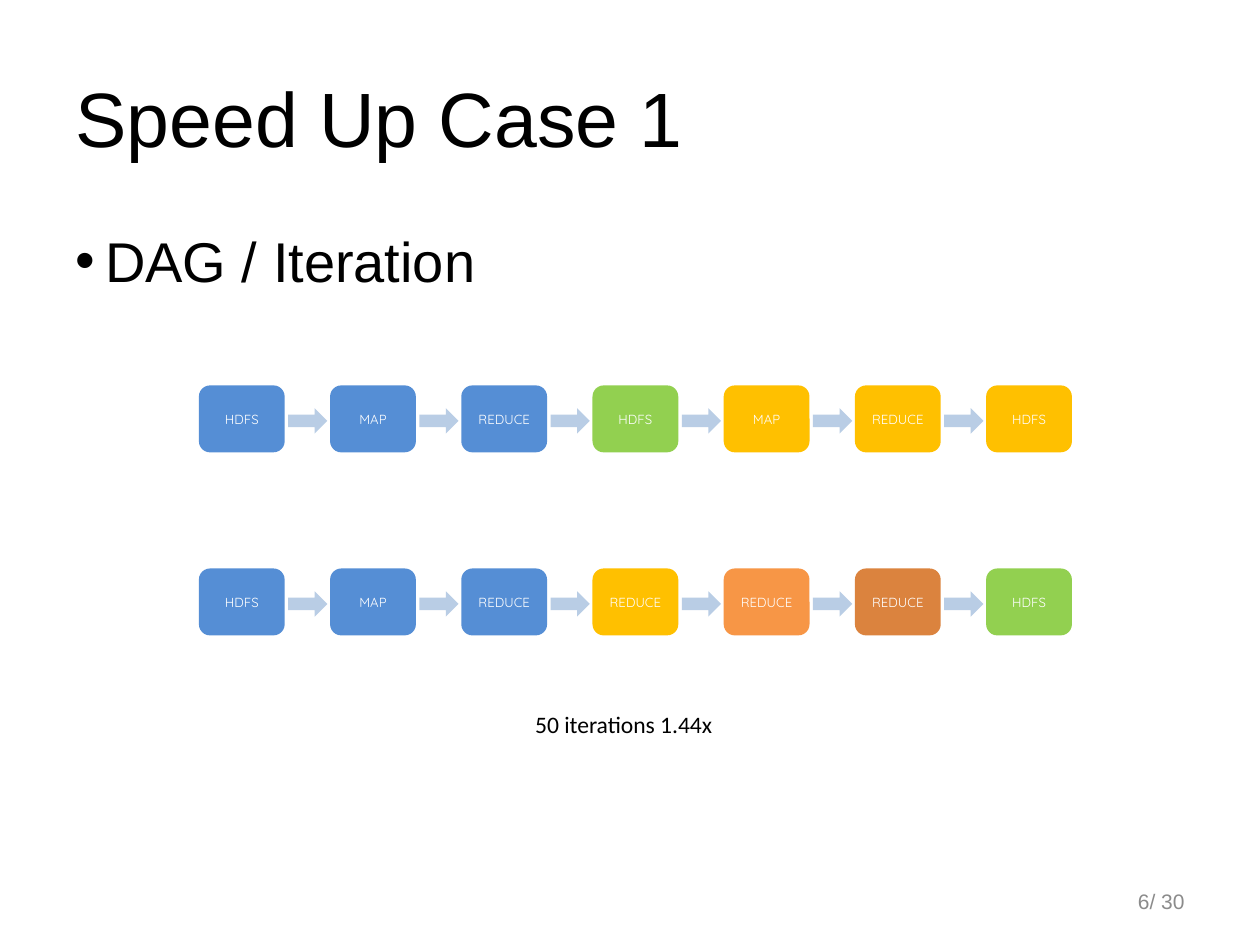
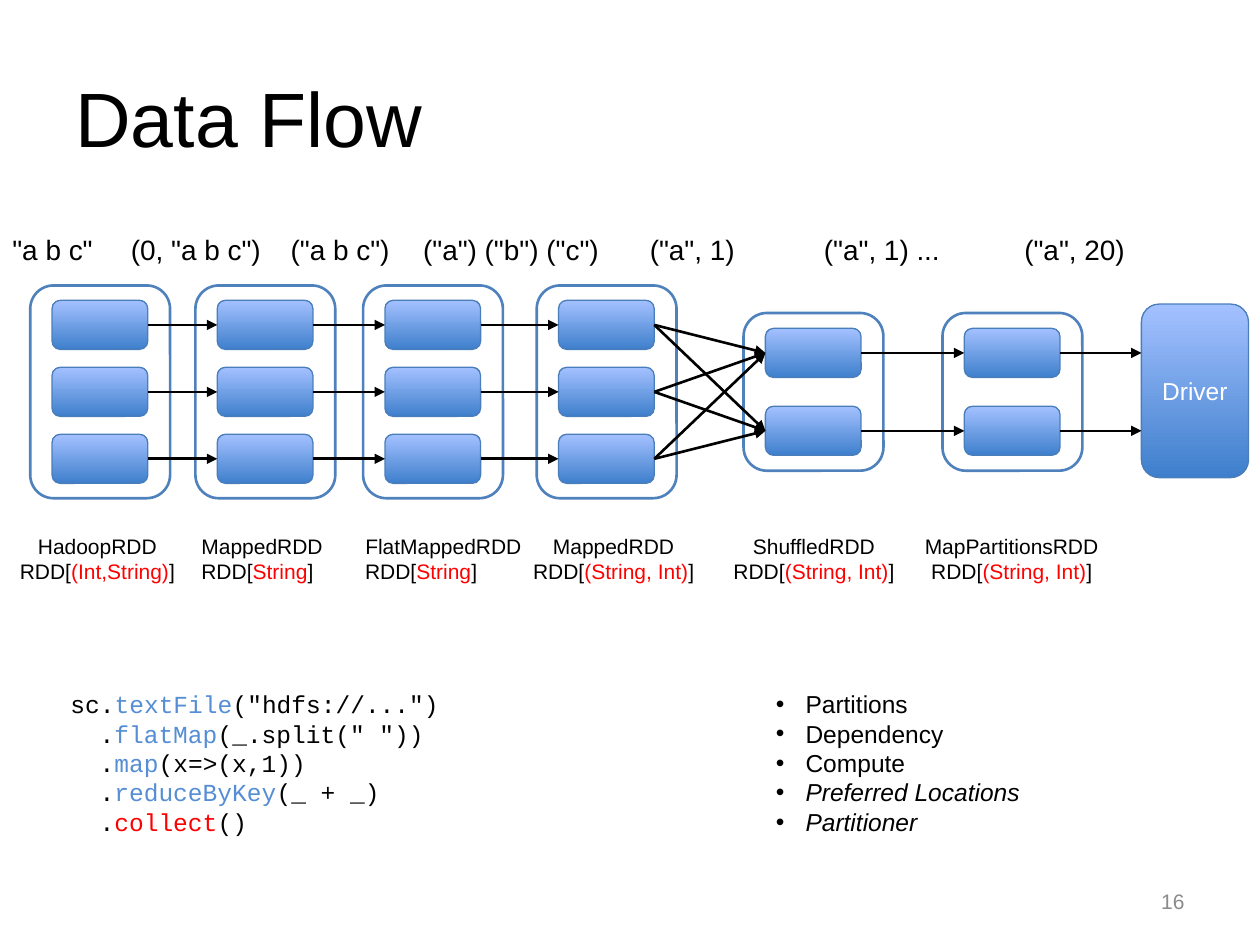
from itertools import product

from lxml import etree
from pptx import Presentation
from pptx.dml.color import RGBColor
from pptx.enum.shapes import MSO_CONNECTOR, MSO_SHAPE
from pptx.enum.text import MSO_ANCHOR, PP_ALIGN
from pptx.oxml.ns import qn
from pptx.util import Cm, Pt

ROUND, ARROW = MSO_SHAPE.ROUNDED_RECTANGLE, MSO_SHAPE.RIGHT_ARROW
STRAIGHT = MSO_CONNECTOR.STRAIGHT
LEFT, MID, RIGHT = PP_ALIGN.LEFT, PP_ALIGN.CENTER, PP_ALIGN.RIGHT
TOP, CENTER = MSO_ANCHOR.TOP, MSO_ANCHOR.MIDDLE

BLACK = RGBColor(0x00, 0x00, 0x00)
WHITE = RGBColor(0xFF, 0xFF, 0xFF)
GRAY = RGBColor(0x8B, 0x8B, 0x8B)
RED = RGBColor(0xFF, 0x00, 0x00)
BLUE = RGBColor(0x55, 0x8E, 0xD5)
PALE = RGBColor(0xB9, 0xCD, 0xE5)
GREEN = RGBColor(0x92, 0xD0, 0x50)
GOLD = RGBColor(0xFF, 0xC0, 0x00)
ORANGE = RGBColor(0xF7, 0x96, 0x46)
RUST = RGBColor(0xDB, 0x83, 0x3E)
FRAME = RGBColor(0x4F, 0x81, 0xBD)
EDGE = RGBColor(0x4A, 0x7E, 0xBB)
DEEP = RGBColor(0x3E, 0x7F, 0xCC)
LIGHT = RGBColor(0xA4, 0xC1, 0xFF)

# Slide 1 content: top of each chain, then its steps
CHAINS = [
    (7.77, [("HDFS", BLUE), ("MAP", BLUE), ("REDUCE", BLUE), ("HDFS", GREEN),
            ("MAP", GOLD), ("REDUCE", GOLD), ("HDFS", GOLD)]),
    (11.46, [("HDFS", BLUE), ("MAP", BLUE), ("REDUCE", BLUE), ("REDUCE", GOLD),
             ("REDUCE", ORANGE), ("REDUCE", RUST), ("HDFS", GREEN)]),
]
SPAN = 15.87  # from the first step's left edge to the last one's

# Slide 2 content: left edge, width, text
VALUES = [
    (0, 2.4, '"a b c"'), (2.39, 3.4, '(0, "a b c")'),
    (5.61, 2.8, '("a b c")'), (8.28, 4.4, '("a") ("b") ("c")'),
    (12.85, 2.5, '("a", 1)'), (16.36, 3.1, '("a", 1) ...'),
    (20.4, 2.8, '("a", 20)'),
]
# Left edge, width, class, type, alignment of the type
NAMES = [
    (0.15, 3.63, "HadoopRDD", "(Int,String)", LEFT),
    (3.81, 2.95, "MappedRDD", "String", LEFT),
    (7.11, 3.66, "FlatMappedRDD", "String", LEFT),
    (10.49, 3.76, "MappedRDD", "(String, Int)", MID),
    (14.53, 3.76, "ShuffledRDD", "(String, Int)", MID),
    (18.39, 4.01, "MapPartitionsRDD", "(String, Int)", MID),
]
# Left edge of each stage and its number of parts
STAGES = [(0.61, 3), (3.94, 3), (7.32, 3), (10.82, 3), (14.99, 2), (19, 2)]
# Parts: frame height and step from part to part
SIZES = {3: (4.29, 1.35), 2: (3.18, 1.57)}
AXIS = 7.9
CODE = [
    [("sc.", BLACK), ("textFile", BLUE), ('("hdfs://...")', BLACK)],
    [(".", BLACK), ("flatMap", BLUE), ('(_.split(" "))', BLACK)],
    [(".", BLACK), ("map", BLUE), ("(x=>(x,1))", BLACK)],
    [(".", BLACK), ("reduceByKey", BLUE), ("(_ + _)", BLACK)],
    [(".", BLACK), ("collect", RED), ("()", BLACK)],
]
TRAITS = ["Partitions", "Dependency", "Compute",
          "Preferred Locations", "Partitioner"]


def write(shape, paras, size=12, font="Arial", color=BLACK, align=LEFT,
          anchor=TOP, wrap=False, bullet=False, slant=(), indent=()):
    """Fill a shape with paragraphs: strings or lists of (text, colour)."""
    frame = shape.text_frame
    frame.word_wrap, frame.vertical_anchor = wrap, anchor
    for i, runs in enumerate(paras):
        para = frame.paragraphs[0] if i == 0 else frame.add_paragraph()
        para.alignment = align[i] if isinstance(align, list) else align
        props = para._p.get_or_add_pPr()
        if bullet:
            props.set("marL", str(Cm(0.6)))
            props.set("indent", str(-Cm(0.6)))
            etree.SubElement(props, qn("a:buFont"), typeface="Arial")
            etree.SubElement(props, qn("a:buChar"), char="•")
        elif i in indent:
            props.set("marL", str(Cm(0.59)))
        for text, hue in [(runs, color)] if isinstance(runs, str) else runs:
            run = para.add_run()
            run.text = text
            run.font.size, run.font.name = Pt(size), font
            run.font.color.rgb = hue
            if i in slant:
                run.font.italic = True


def label(slide, x, y, w, h, paras, **style):
    write(slide.shapes.add_textbox(Cm(x), Cm(y), Cm(w), Cm(h)), paras, **style)


def block(slide, kind, x, y, w, h, fill=None, line=None, width=0.75):
    """Add a preset shape; without a fill colour it gets the blue gradient."""
    shape = slide.shapes.add_shape(kind, Cm(x), Cm(y), Cm(w), Cm(h))
    shape.shadow.inherit = False
    if fill is None:
        shape.fill.gradient()
        shape.fill.gradient_angle = 90
        for stop, hue, spot in zip(shape.fill.gradient_stops, (DEEP, LIGHT), (0, 1)):
            stop.color.rgb, stop.position = hue, spot
    else:
        shape.fill.solid()
        shape.fill.fore_color.rgb = fill
    if line is None:
        shape.line.fill.background()
    else:
        shape.line.color.rgb, shape.line.width = line, Pt(width)
    return shape


def link(slide, start, end, joined=True):
    """Arrow from the right side of start to the left side of end."""
    y = start.top + start.height // 2
    wire = slide.shapes.add_connector(
        STRAIGHT, start.left + start.width, y, end.left, y)
    wire.begin_connect(start, 3)
    if joined:
        wire.end_connect(end, 1)
    wire.line.color.rgb, wire.line.width = BLACK, Pt(1.5)
    etree.SubElement(wire.line._get_or_add_ln(), qn("a:tailEnd"), type="triangle")
    etree.SubElement(wire._element.spPr, qn("a:effectLst"))


def base(deck, title, number):
    """Blank slide with the shared title and page number."""
    slide = deck.slides.add_slide(deck.slide_layouts[6])
    label(slide, 1.27, 0.76, 22.86, 3.18, [title], size=44, anchor=CENTER, wrap=True)
    label(slide, 18.21, 17.65, 5.92, 1.02, [number], color=GRAY,
          align=RIGHT, anchor=CENTER, wrap=True)
    return slide


def speed(deck):
    slide = base(deck, "Speed Up Case 1", "6/ 30")
    label(slide, 1.27, 4.45, 22.86, 12.57, ["DAG / Iteration"],
          size=32, bullet=True, wrap=True)
    for y, steps in CHAINS:
        last = len(steps) - 1
        for i, (text, hue) in enumerate(steps):
            x = 4.01 + i * SPAN / last
            step = block(slide, ROUND, x, y, 1.73, 1.35, hue)
            write(step, [text], size=7.5, font="Quicksand", color=WHITE,
                  align=MID, anchor=CENTER)
            if i < last:
                block(slide, ARROW, x + 1.8, y + 0.46, 0.79, 0.51, PALE)
    label(slide, 10.54, 14.18, 4.45, 0.81, ["50 iterations 1.44x"],
          size=13.5, font="Calibri")


def flow(deck):
    slide = base(deck, "Data Flow", "16")

    # Labels above and below the stages
    for x, w, text in VALUES:
        label(slide, x, 4.56, w, 0.91, [text], size=16)
    for x, w, name, kind, side in NAMES:
        label(slide, x, 10.63, w, 1.27,
              [name, [("RDD[", BLACK), (kind, RED), ("]", BLACK)]],
              align=[MID, side])

    # Stages, centred on one axis
    stages = []
    for x, count in STAGES:
        high, step = SIZES[count]
        block(slide, ROUND, x, AXIS - high / 2, 2.82, high, WHITE, FRAME, 1.5)
        first = AXIS - 0.99 / 2 - step * (count - 1) / 2
        stages.append([block(slide, ROUND, x + 0.44, first + i * step, 1.93, 0.99,
                             line=EDGE) for i in range(count)])
    driver = block(slide, ROUND, 23.01, AXIS - 1.77, 2.16, 3.5, line=EDGE)
    write(driver, ["Driver"], size=14, color=WHITE, align=MID, anchor=CENTER)

    # Part to part where the counts match, else all to all
    for here, there in zip(stages, stages[1:]):
        match = len(here) == len(there)
        for start, end in zip(here, there) if match else product(here, there):
            link(slide, start, end)
    for part in stages[-1]:
        link(slide, part, driver, joined=False)

    # Code and traits
    label(slide, 1.17, 13.77, 8.2, 3.2, CODE, size=14, font="Courier New",
          indent=range(1, 5))
    label(slide, 15.39, 13.77, 5.64, 3.2, TRAITS, size=14, bullet=True,
          slant=(3, 4))


def main():
    deck = Presentation()
    deck.slide_width, deck.slide_height = Cm(25.4), Cm(19.05)
    speed(deck)
    flow(deck)
    deck.save("out.pptx")


if __name__ == "__main__":
    main()
